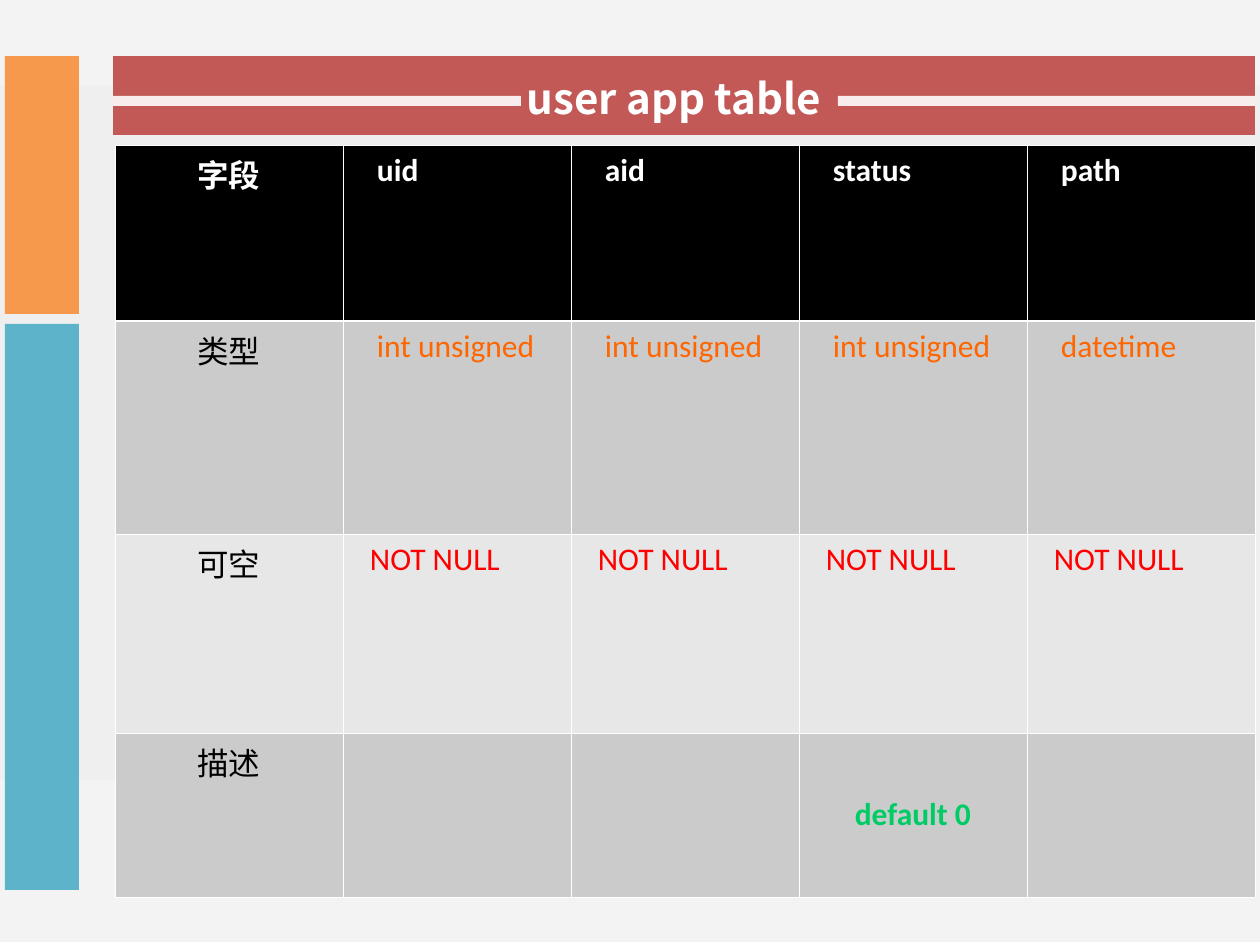
import pptx
import pptx.util
import pptx.dml.color
import pptx.enum.shapes
import pptx.enum.text
import pptx.oxml
import pptx.oxml.ns
import lxml.etree

RGB = pptx.dml.color.RGBColor
ALIGN = pptx.enum.text.PP_ALIGN
ANCHOR = pptx.enum.text.MSO_ANCHOR
qn = pptx.oxml.ns.qn

WHITE = RGB(0xFF, 0xFF, 0xFF)
BLACK = RGB(0x00, 0x00, 0x00)
PALE = RGB(0xF2, 0xF2, 0xF2)
SILVER = RGB(0xD8, 0xD8, 0xD8)
BRICK = RGB(0xC0, 0x50, 0x4D)
APRICOT = RGB(0xF7, 0x96, 0x46)
TEAL = RGB(0x4B, 0xAC, 0xC6)
DARK_ROW = RGB(0xCB, 0xCB, 0xCB)
LIGHT_ROW = RGB(0xE7, 0xE7, 0xE7)
ORANGE = RGB(0xFF, 0x66, 0x00)
RED = RGB(0xFF, 0x00, 0x00)
GREEN = RGB(0x00, 0xCC, 0x66)

SLIDE = (1260, 945)
TITLE = "user app table"
TITLE_BOX = (514, 66, 325, 63)
TITLE_FONT = {"name": "Noto Sans CJK SC", "size": pptx.util.Pt(24), "bold": True}

PANELS = [
    ((0, -3, 1260, 945), PALE, 89),
    ((0, 86, 1260, 694), SILVER, 14),
    ((113, 56, 1142, 79), BRICK, 94),
    ((5, 56, 74, 258), APRICOT, 96),
    ((5, 324, 74, 566), TEAL, 89),
    ((113, 96, 408, 10), WHITE, 89),
    ((838, 96, 417, 10), WHITE, 89),
]

FIELDS = [
    ["字段", "uid", "aid", "status", "path"],
    ["类型", "int unsigned", "int unsigned", "int unsigned", "datetime"],
    ["可空", "NOT NULL", "NOT NULL", "NOT NULL", "NOT NULL"],
    ["描述", "", "", "default 0", ""],
]
ROWS = [
    {"height": 176, "fill": BLACK, "label": WHITE, "value": WHITE, "bold": True, "indent": 21},
    {"height": 213, "fill": DARK_ROW, "label": BLACK, "value": ORANGE, "bold": False, "indent": 21},
    {"height": 199, "fill": LIGHT_ROW, "label": BLACK, "value": RED, "bold": False, "indent": 14},
    {"height": 164, "fill": DARK_ROW, "label": BLACK, "value": GREEN, "bold": True, "indent": 0},
]
TABLE_LEFT, TABLE_TOP, COLUMN_WIDTH = 115, 145, 228
CELL_MARGIN = 13
THIN, THICK = 0.45, 1.47


def px(length):
    return pptx.util.Emu(round(length * 914400 / 126))


def apply(target, values):
    for name, value in values.items():
        setattr(target, name, value)


def add_panel(slide, box, color, opacity):
    panel = slide.shapes.add_shape(
        pptx.enum.shapes.MSO_SHAPE.RECTANGLE, *map(px, box))
    panel.shadow.inherit = False
    panel.line.fill.background()
    panel.fill.solid()
    panel.fill.fore_color.rgb = color
    shade = next(panel.element.spPr.iter(qn("a:srgbClr")))
    lxml.etree.SubElement(shade, qn("a:alpha"), val=str(opacity * 1000))


def add_title(slide):
    title = slide.shapes.title
    apply(title, dict(zip(("left", "top", "width", "height"), map(px, TITLE_BOX))))
    title.text = TITLE
    apply(title.text_frame, {
        "word_wrap": False,
        "vertical_anchor": ANCHOR.TOP,
        "auto_size": pptx.enum.text.MSO_AUTO_SIZE.SHAPE_TO_FIT_TEXT,
    })
    heading = title.text_frame.paragraphs[0]
    heading.alignment = ALIGN.LEFT
    apply(heading.runs[0].font, TITLE_FONT)
    heading.runs[0].font.color.rgb = WHITE
    slide.shapes.element.append(title.element)


def fill_cell(cell, text, row, is_label):
    is_default = row["indent"] == 0 and not is_label
    centred = is_label or is_default
    apply(cell, {
        "margin_left": px(CELL_MARGIN + (0 if is_label else row["indent"])),
        "margin_right": px(CELL_MARGIN),
        "vertical_anchor": ANCHOR.MIDDLE if is_default else ANCHOR.TOP,
    })
    cell.fill.solid()
    cell.fill.fore_color.rgb = row["fill"]
    if not text:
        return
    entry = cell.text_frame.paragraphs[0]
    apply(entry, {
        "alignment": ALIGN.CENTER if centred else ALIGN.LEFT,
        "space_before": pptx.util.Pt(4.5),
    })
    run = entry.add_run()
    run.text = text
    bold = row["bold"] and not (is_label and row["label"] == BLACK)
    apply(run.font, {"name": "Calibri", "size": pptx.util.Pt(18), "bold": bold})
    run.font.color.rgb = row["label"] if is_label else row["value"]


def add_borders(properties, row_index):
    widths = {
        "L": THIN,
        "R": THIN,
        "T": THICK if row_index == 1 else THIN,
        "B": THICK if row_index == 0 else THIN,
    }
    for position, (side, width) in enumerate(widths.items()):
        border = lxml.etree.Element(qn("a:ln" + side), w=str(pptx.util.Pt(width)))
        paint = lxml.etree.SubElement(border, qn("a:solidFill"))
        lxml.etree.SubElement(paint, qn("a:srgbClr"), val=str(WHITE))
        properties.insert(position, border)


def add_field_table(slide):
    column_count = len(FIELDS[0])
    frame = slide.shapes.add_table(
        len(FIELDS), column_count, px(TABLE_LEFT), px(TABLE_TOP),
        px(COLUMN_WIDTH * column_count), px(sum(row["height"] for row in ROWS)))
    fields = frame.table
    fields.horz_banding = False
    for column in fields.columns:
        column.width = px(COLUMN_WIDTH)
    for r, (texts, row) in enumerate(zip(FIELDS, ROWS)):
        fields.rows[r].height = px(row["height"])
        for c, text in enumerate(texts):
            fill_cell(fields.cell(r, c), text, row, c == 0)
    for i, properties in enumerate(frame.element.iter(qn("a:tcPr"))):
        add_borders(properties, i // column_count)


def main():
    deck = pptx.Presentation()
    deck.slide_width, deck.slide_height = map(px, SLIDE)
    slide = deck.slides.add_slide(deck.slide_layouts.get_by_name("Title Only"))
    for panel in PANELS:
        add_panel(slide, *panel)
    add_title(slide)
    add_field_table(slide)
    deck.save("out.pptx")


if __name__ == "__main__":
    main()
